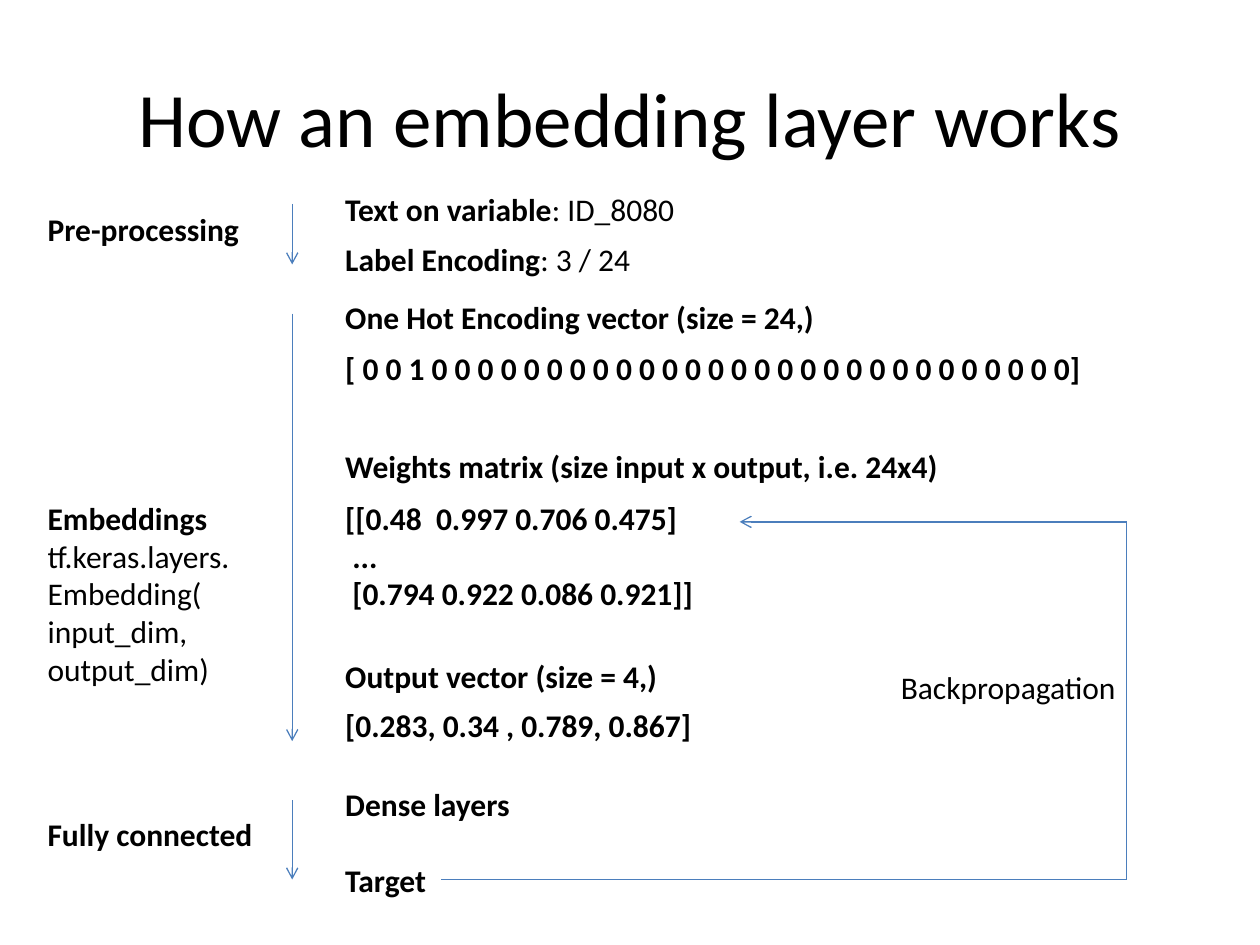
from lxml.etree import SubElement
from pptx import Presentation
from pptx.dml.color import RGBColor
from pptx.enum.shapes import MSO_CONNECTOR
from pptx.enum.text import MSO_ANCHOR, MSO_AUTO_SIZE, PP_ALIGN
from pptx.oxml.ns import qn
from pptx.util import Cm, Pt

COLORS = {"text": "000000", "line": "4B7EBC"}
LABEL_LEFT, ARROW_LEFT, STEP_LEFT = 0.71, 5.89, 6.71
LOOP_RIGHT, LOOP_TOP, LOOP_BOTTOM = 22.71, 10.52, 17.73
LINE_HEIGHT = 1.03

deck = Presentation()
deck.slide_width, deck.slide_height = Cm(25.4), Cm(19.05)
page = deck.slides.add_slide(deck.slide_layouts[6])


def add_text(left, top, width, height, paragraphs, size=18, gap=0):
    box = page.shapes.add_textbox(Cm(left), Cm(top), Cm(width), Cm(height))
    frame = box.text_frame
    frame.word_wrap = True
    frame.auto_size = MSO_AUTO_SIZE.SHAPE_TO_FIT_TEXT
    for index, spans in enumerate(paragraphs):
        para = frame.add_paragraph() if index else frame.paragraphs[0]
        if index and gap:
            para.space_before = Pt(gap)
        for text, bold in spans:
            for number, line in enumerate(text.split("\n")):
                if number:
                    para.add_line_break()
                span = para.add_run()
                span.text = line
                values = {"name": "Calibri", "size": Pt(size), "bold": bold}
                for name, value in values.items():
                    setattr(span.font, name, value)
                span.font.color.rgb = RGBColor.from_string(COLORS["text"])
    return frame


def add_line(start_x, start_y, end_x, end_y, arrow=True):
    line = page.shapes.add_connector(
        MSO_CONNECTOR.STRAIGHT, Cm(start_x), Cm(start_y), Cm(end_x), Cm(end_y)
    )
    line.line.color.rgb = RGBColor.from_string(COLORS["line"])
    line.line.width = Pt(0.75)
    if arrow:
        SubElement(line.line._get_or_add_ln(), qn("a:tailEnd"), type="arrow")
    SubElement(line._element.spPr, qn("a:effectLst"))


title = add_text(1.27, 0.76, 22.86, 3.18, [[("How an embedding layer works", False)]], size=44)
title.auto_size = MSO_AUTO_SIZE.NONE
title.vertical_anchor = MSO_ANCHOR.MIDDLE
title.paragraphs[0].alignment = PP_ALIGN.CENTER

steps = [
    (3.71, 16, [("Text on variable", True), (": ID_8080", False)]),
    (4.72, 16, [("Label Encoding", True), (": 3 / 24", False)]),
    (5.89, 16, [("One Hot Encoding vector (size = 24,)", True)]),
    (6.91, 15.6, [("[ 0 0 1 " + "0 " * 27 + "0]", True)]),
    (8.89, 12.57, [("Weights matrix (size input x output, i.e. 24x4)", True)]),
    (13.13, 8.79, [("Output vector (size = 4,)", True)]),
    (14.1, 7.57, [("[0.283, 0.34 , 0.789, 0.867]", True)]),
]
for top, width, spans in steps:
    add_text(STEP_LEFT, top, width, LINE_HEIGHT, [spans])

weights = ["[[0.48  0.997 0.706 0.475]", " ...", " [0.794 0.922 0.086 0.921]]"]
add_text(STEP_LEFT, 9.93, 16.79, 2.56, [[(row, True)] for row in weights])
add_text(STEP_LEFT, 15.7, 4.24, 2.56, [[("Dense layers", True)], [("Target", True)]], gap=22)

add_text(LABEL_LEFT, 4.11, 4.6, LINE_HEIGHT, [[("Pre-processing", True)]])
add_text(LABEL_LEFT, 9.93, 4.39, 4.11, [
    [("Embeddings", True)],
    [("tf.keras.layers.Embedding(\ninput_dim, output_dim)", False)],
])
add_text(LABEL_LEFT, 16.31, 5, LINE_HEIGHT, [[("Fully connected", True)]])
add_text(17.91, 13.34, 5, LINE_HEIGHT, [[("Backpropagation", False)]])

for top, bottom in [(4.11, 5.33), (6.32, 14.94), (16.13, LOOP_BOTTOM)]:
    add_line(ARROW_LEFT, top, ARROW_LEFT, bottom)

add_line(8.89, LOOP_BOTTOM, LOOP_RIGHT, LOOP_BOTTOM, arrow=False)
add_line(LOOP_RIGHT, LOOP_BOTTOM, LOOP_RIGHT, LOOP_TOP, arrow=False)
add_line(LOOP_RIGHT, LOOP_TOP, 14.91, LOOP_TOP)

deck.save("out.pptx")
